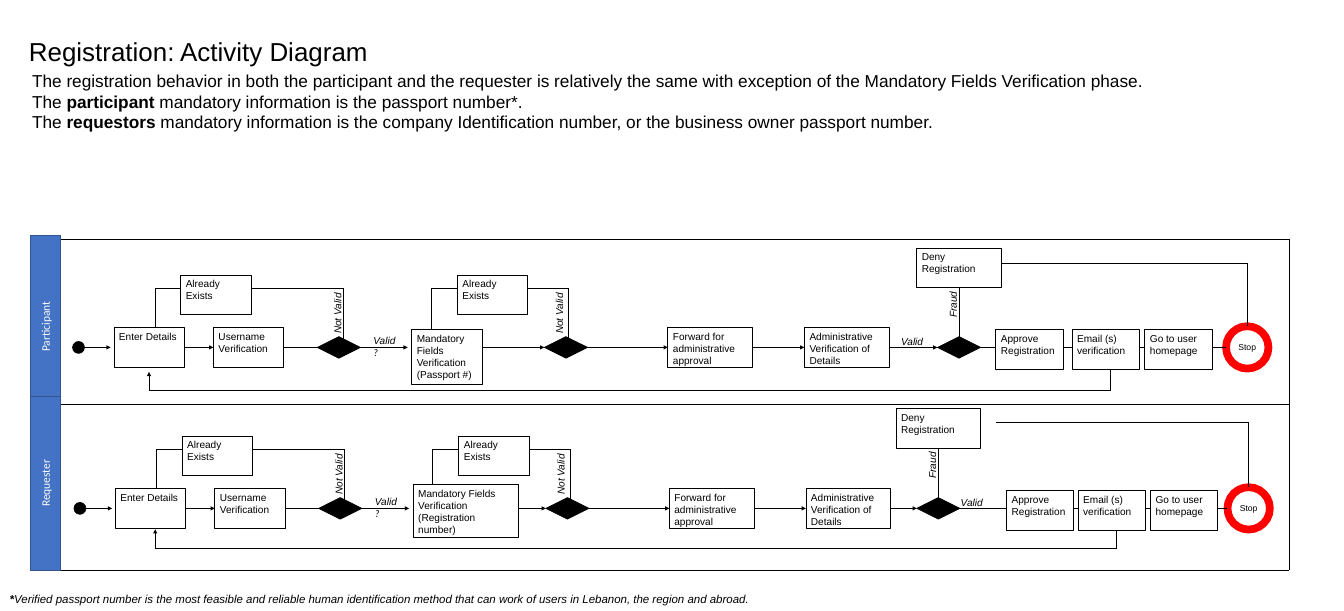
from dataclasses import dataclass

from lxml.etree import SubElement
from pptx import Presentation
from pptx.dml.color import RGBColor
from pptx.enum.shapes import MSO_CONNECTOR, MSO_SHAPE
from pptx.enum.text import MSO_ANCHOR, MSO_AUTO_SIZE, PP_ALIGN
from pptx.oxml.ns import qn
from pptx.util import Pt


@dataclass(frozen=True)
class Theme:
    black: RGBColor = RGBColor(0, 0, 0)
    white: RGBColor = RGBColor(255, 255, 255)
    red: RGBColor = RGBColor(255, 0, 0)
    blue: RGBColor = RGBColor(0x44, 0x72, 0xC4)
    dark_blue: RGBColor = RGBColor(0x32, 0x54, 0x91)
    font: str = "Arial"
    label_font: str = "Calibri"
    title: float = 36.1
    body: float = 24
    note: float = 16
    step: float = 14
    stop: float = 12


THEME = Theme()
TOP, LEFT, BOTTOM, RIGHT = range(4)
STEP_HEIGHT = 55
DIAMOND_WIDTH, DIAMOND_HEIGHT = 60, 30


@dataclass(frozen=True)
class Lane:
    """What differs between the two swimlanes; axis is the height of the main flow."""
    name: str
    name_center: float
    name_length: float
    axis: float
    shift: float
    mandatory: tuple
    mandatory_size: tuple
    mandatory_rise: float
    decision_center: float
    valid_x: float
    final_steps: tuple
    deny_exit: tuple
    feedback: tuple  # start x, drop, end x, arrow tip below axis


LANES = (
    Lane("Participant", 454.6, 254, 483.5, 0,
         ("Mandatory Fields Verification (Passport #)",), (98, 76), 25,
         1334.8, 1247, (1386, 1492, 1593.4), (1395, 117), (1545, 60, 207.4, 34)),
    Lane("Requester", 672.6, 243, 707.5, 2,
         ("Mandatory Fields Verification", "(Registration number)"), (146, 74), 33,
         1306, 1330, (1401, 1500.5, 1601.3), (1386, 120), (1554, 55.5, 216, 29)),
)


def fill_text(frame, paragraphs, size, color=THEME.black, font=THEME.font,
              align=PP_ALIGN.LEFT, anchor=MSO_ANCHOR.TOP):
    """Each paragraph is a list of (text, style) runs: b bold, i italic, c label font."""
    frame.word_wrap = True
    frame.vertical_anchor = anchor
    for index, runs in enumerate(paragraphs):
        paragraph = frame.add_paragraph() if index else frame.paragraphs[0]
        paragraph.alignment = align
        for text, style in runs:
            run = paragraph.add_run()
            run.text = text
            run.font.size = Pt(size)
            run.font.name = THEME.label_font if "c" in style else font
            run.font.color.rgb = color
            run.font.bold = "b" in style
            run.font.italic = "i" in style


def add_text(slide, box, paragraphs, size, align=PP_ALIGN.LEFT, rotation=0):
    shape = slide.shapes.add_textbox(*map(Pt, box))
    shape.rotation = rotation
    fill_text(shape.text_frame, paragraphs, size, align=align)


def add_figure(slide, kind, box, fill, line=THEME.black, width=1):
    shape = slide.shapes.add_shape(kind, *map(Pt, box))
    shape.shadow.inherit = False
    if fill is None:
        shape.fill.background()
    else:
        shape.fill.solid()
        shape.fill.fore_color.rgb = fill
    shape.line.color.rgb = line
    shape.line.width = Pt(width)
    return shape


def add_step(slide, x, y, width, *lines, height=STEP_HEIGHT):
    shape = add_figure(slide, MSO_SHAPE.RECTANGLE, (x, y, width, height), THEME.white)
    fill_text(shape.text_frame, [[(line, "")] for line in lines], THEME.step)
    return shape


def add_diamond(slide, center, axis):
    box = (center - DIAMOND_WIDTH / 2, axis - DIAMOND_HEIGHT / 2, DIAMOND_WIDTH, DIAMOND_HEIGHT)
    return add_figure(slide, MSO_SHAPE.DIAMOND, box, THEME.black)


def link(slide, start, end, arrow=False):
    """Join two ends, each a point (x, y) or a pair (shape, side)."""
    points = [(0, 0) if hasattr(stop[0], "shape_id") else stop for stop in (start, end)]
    connector = slide.shapes.add_connector(
        MSO_CONNECTOR.STRAIGHT, *(Pt(value) for point in points for value in point))
    if hasattr(start[0], "shape_id"):
        connector.begin_connect(*start)
    if hasattr(end[0], "shape_id"):
        connector.end_connect(*end)
    connector.line.color.rgb = THEME.black
    connector.line.width = Pt(0.5)
    if arrow:
        SubElement(connector.line._get_or_add_ln(), qn("a:tailEnd"), type="triangle")
    SubElement(connector._element.spPr, qn("a:effectLst"))


def link_path(slide, *stops, arrow=False):
    for index in range(1, len(stops)):
        link(slide, stops[index - 1], stops[index], arrow and index == len(stops) - 1)


def add_lane_frame(slide):
    table = slide.shapes.add_table(2, 1, Pt(83.5), Pt(332.6), Pt(1710.7), Pt(460.8)).table
    table.first_row = table.horz_banding = False
    for cell in table.iter_cells():
        properties = cell._tc.get_or_add_tcPr()
        for side in ("lnL", "lnR", "lnT", "lnB"):
            border = SubElement(properties, qn(f"a:{side}"), w=str(Pt(1)))
            solid = SubElement(border, qn("a:solidFill"))
            SubElement(solid, qn("a:srgbClr"), val=str(THEME.black))
        cell.fill.background()


def add_lane_name(slide, lane):
    thickness = 41
    box = (63 - lane.name_length / 2, lane.name_center - thickness / 2, lane.name_length, thickness)
    shape = add_figure(slide, MSO_SHAPE.RECTANGLE, box, THEME.blue, THEME.dark_blue)
    shape.rotation = 270
    fill_text(shape.text_frame, [[(lane.name, "")]], THEME.note, THEME.white,
              THEME.label_font, PP_ALIGN.CENTER, MSO_ANCHOR.MIDDLE)


def add_retry_loop(slide, axis, left, box_x, right, label_x, target_top):
    width, height = 98, axis - 82.5
    link_path(slide, (left, target_top), (left, height), (box_x, height))
    link_path(slide, (box_x + width, height), (right, height), (right, axis - 6))
    add_step(slide, box_x, axis - 100.5, width, "Already Exists")
    add_text(slide, (label_x, axis - 61, 74, 24.5), [[("Not Valid", "i")]], THEME.step, rotation=270)


def add_lane_flow(slide, lane):
    axis, shift = lane.axis, lane.shift
    step_top = axis - STEP_HEIGHT / 2

    # Start and username check
    add_figure(slide, MSO_SHAPE.OVAL, (101 + shift, axis - 8.3, 16.6, 16.6), THEME.black)
    link(slide, (117 + shift, axis), (154 + shift, axis), arrow=True)
    enter = add_step(slide, 158.5 + shift, step_top, 98, "Enter Details")
    username = add_step(slide, 297 + shift, step_top, 98, "Username Verification")
    link(slide, (enter, RIGHT), (username, LEFT), arrow=True)
    add_diamond(slide, 471.6 + shift, axis)
    link(slide, (username, RIGHT), (567.5 + shift, axis), arrow=True)
    add_text(slide, (512.6 + shift, axis - 21.6, 51, 24.5),
             [[("Valid", "i"), ("?", "ic")]], THEME.step)
    add_retry_loop(slide, axis, 215.3 + shift, 251.5 + shift, 477.4 + shift,
                   432.7 + shift, step_top)

    # Mandatory fields check
    width, height = lane.mandatory_size
    mandatory_x, mandatory_top = 573 + shift, axis - lane.mandatory_rise
    add_step(slide, mandatory_x, mandatory_top, width, *lane.mandatory, height=height)
    mandatory_check = add_diamond(slide, 787.7 + shift, axis)
    link(slide, (mandatory_x + width, axis), (mandatory_check, LEFT), arrow=True)
    add_retry_loop(slide, axis, 599.8 + shift, 636.5 + shift, 791.3 + shift,
                   741.6 + shift, mandatory_top)

    # Administrative approval
    forward = add_step(slide, 929.5 + shift, step_top, 118, "Forward for administrative approval")
    admin = add_step(slide, 1119.6 + shift, step_top, 118, "Administrative Verification of Details")
    decision = add_diamond(slide, lane.decision_center, axis)
    chain = (mandatory_check, forward, admin, decision)
    for source, target in zip(chain, chain[1:]):
        link(slide, (source, RIGHT), (target, LEFT), arrow=True)
    add_text(slide, (lane.valid_x, axis - 20, 60, 24.5), [[("Valid", "i")]], THEME.step)

    # Stop and denial
    stop_x, stop_size = 1706.4 + shift, 59
    stop = add_figure(slide, MSO_SHAPE.OVAL, (stop_x, axis - stop_size / 2, stop_size, stop_size),
                      None, THEME.red, 10.75)
    fill_text(stop.text_frame, [[("Stop", "")]], THEME.stop,
              align=PP_ALIGN.CENTER, anchor=MSO_ANCHOR.MIDDLE)
    deny = add_step(slide, lane.decision_center - 59, axis - 138.5, 118, "Deny Registration")
    link(slide, (decision, TOP), (deny, BOTTOM))
    add_text(slide, (lane.decision_center - 34, axis - 72, 51, 24.5),
             [[("Fraud", "i")]], THEME.step, rotation=270)
    exit_x, exit_rise = lane.deny_exit
    corner = (stop_x + stop_size / 2, axis - exit_rise)
    link_path(slide, (exit_x, axis - exit_rise), corner, (stop, TOP))

    # Approved registration, over the line that leads to the stop
    link(slide, (decision, RIGHT), (stop_x, axis))
    final_top = axis - 25
    for x, text in zip(lane.final_steps, ("Approve Registration", "Email (s) verification",
                                          "Go to user homepage")):
        add_step(slide, x, final_top, 93.6, text)

    # Return to the first step
    start_x, drop, end_x, tip = lane.feedback
    link_path(slide, (start_x, final_top + STEP_HEIGHT), (start_x, axis + drop),
              (end_x, axis + drop), (end_x, axis + tip), arrow=True)


def main():
    presentation = Presentation()
    presentation.slide_width, presentation.slide_height = Pt(1870.56), Pt(850.32)
    slide = presentation.slides.add_slide(presentation.slide_layouts[5])

    # Title and introduction
    title = slide.shapes.title
    title.left, title.top, title.width, title.height = map(Pt, (33, 46, 554, 51))
    title.text_frame.auto_size = MSO_AUTO_SIZE.NONE
    fill_text(title.text_frame, [[("Registration: Activity Diagram", "")]], THEME.title)
    add_text(slide, (37.5, 94.3, 1769, 94.3), [
        [("The registration behavior in both the participant and the requester is relatively "
          "the same with exception of the Mandatory Fields Verification phase.", "")],
        [("The ", ""), ("participant", "b"), (" mandatory information is the passport number*.", "")],
        [("The ", ""), ("requestors", "b"), (" mandatory information is the company Identification "
                                             "number, or the business owner passport number.", "")],
    ], THEME.body, PP_ALIGN.JUSTIFY)

    # Swimlanes
    add_lane_frame(slide)
    for lane in LANES:
        add_lane_name(slide, lane)
        add_lane_flow(slide, lane)

    # Footnote
    add_text(slide, (6.5, 820, 1739, 26.6), [
        [("*", "bi"), ("Verified passport number is the most feasible and reliable human identification "
                       "method that can work of users in Lebanon, the region and abroad.", "i")],
    ], THEME.note, PP_ALIGN.JUSTIFY)
    presentation.save("out.pptx")


if __name__ == "__main__":
    main()
